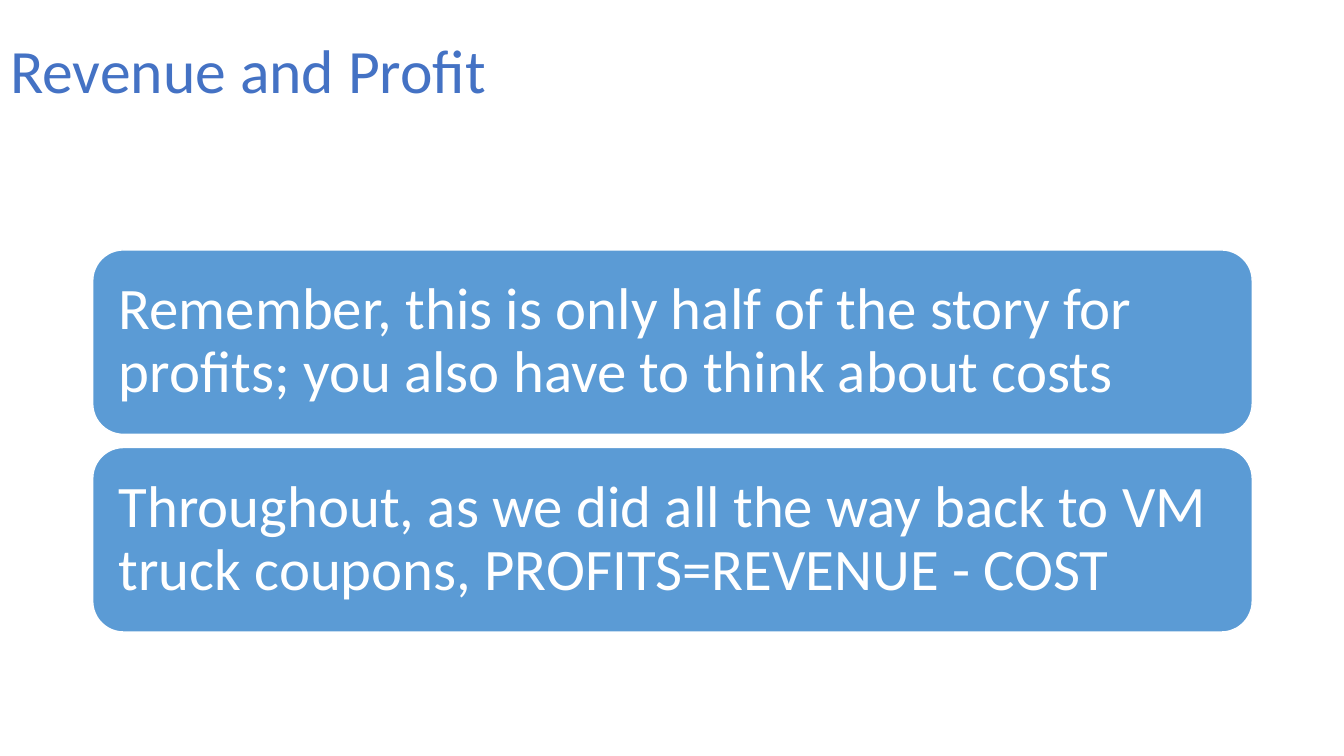
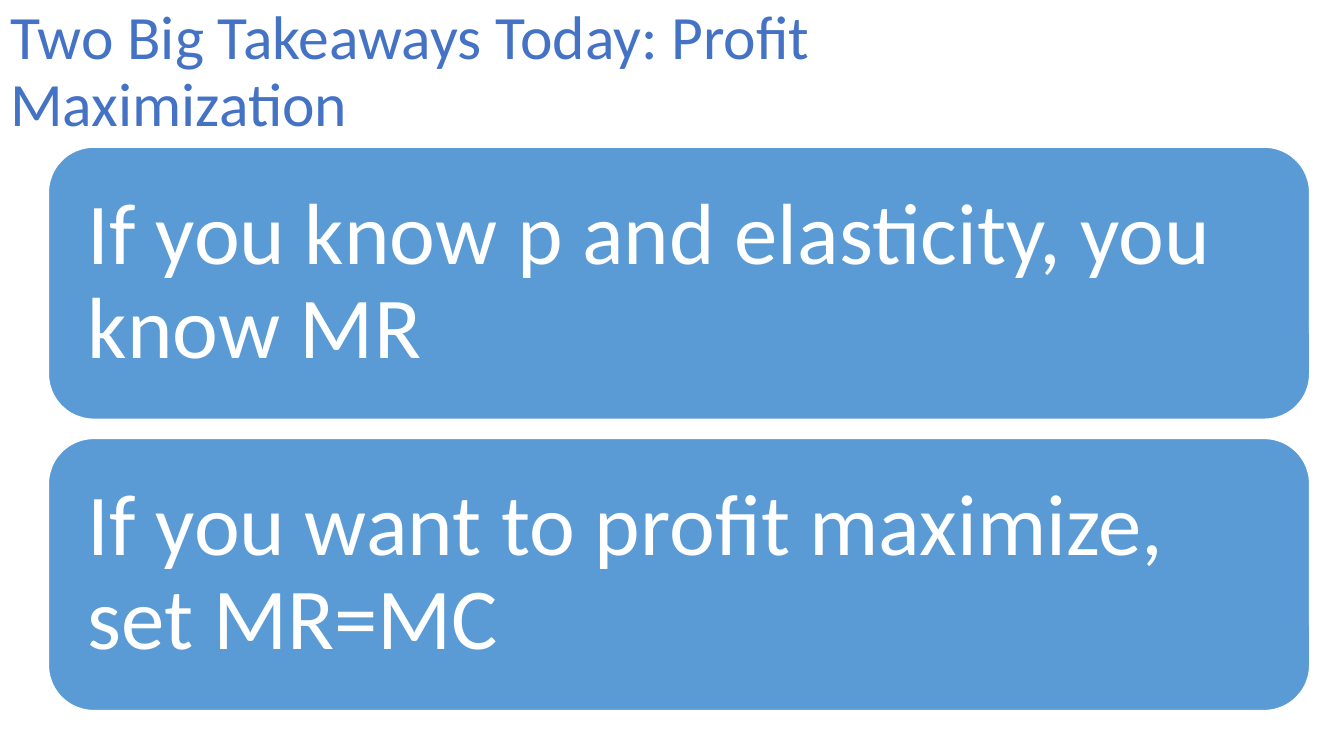
from pptx import Presentation
from pptx.dml.color import RGBColor
from pptx.enum.shapes import MSO_SHAPE
from pptx.enum.text import MSO_ANCHOR, MSO_AUTO_SIZE, PP_ALIGN
from pptx.util import Inches, Pt

ROUNDED = MSO_SHAPE.ROUNDED_RECTANGLE
MIDDLE = MSO_ANCHOR.MIDDLE
NO_AUTOFIT = MSO_AUTO_SIZE.NONE
LEFT = PP_ALIGN.LEFT

FONT = "Calibri"
TITLE_BLUE = "4472C4"
CARD_BLUE = "5B9BD5"
WHITE = "FFFFFF"
TITLE_SIZE = 44
TITLE_ONLY_LAYOUT = 5


def color(hex_value):
    return RGBColor.from_string(hex_value)


def write_text(shape, text, size, hex_value):
    frame = shape.text_frame
    frame.text = text
    frame.word_wrap = True
    frame.auto_size = NO_AUTOFIT
    frame.vertical_anchor = MIDDLE
    paragraph = frame.paragraphs[0]
    paragraph.alignment = LEFT
    paragraph.line_spacing = 0.9
    font = paragraph.runs[0].font
    font.name = FONT
    font.size = Pt(size)
    font.color.rgb = color(hex_value)


def add_titled_slide(presentation, title_text):
    slide = presentation.slides.add_slide(presentation.slide_layouts[TITLE_ONLY_LAYOUT])
    title = slide.shapes.title
    title.left, title.top = Inches(0), Inches(0)
    title.width, title.height = Inches(11.5), Inches(1.45)
    write_text(title, title_text, TITLE_SIZE, TITLE_BLUE)
    return slide


def add_card(slide, text, left, top, width, height, size, inset):
    card = slide.shapes.add_shape(
        ROUNDED, Inches(left), Inches(top), Inches(width), Inches(height)
    )
    card.shadow.inherit = False
    card.fill.solid()
    card.fill.fore_color.rgb = color(CARD_BLUE)
    card.line.color.rgb = color(WHITE)
    card.line.width = Pt(1)
    frame = card.text_frame
    frame.margin_left = frame.margin_right = Inches(inset)
    frame.margin_top = frame.margin_bottom = Inches(inset)
    write_text(card, text, size, WHITE)


def add_card_stack(slide, texts, left, top, width, height, gap, size, inset):
    for index, text in enumerate(texts):
        card_top = top + index * (height + gap)
        add_card(slide, text, left, card_top, width, height, size, inset)


def main():
    presentation = Presentation()
    presentation.slide_width = Inches(13.33)
    presentation.slide_height = Inches(7.5)

    revenue_slide = add_titled_slide(presentation, "Revenue and Profit")
    add_card_stack(
        revenue_slide,
        [
            "Remember, this is only half of the story for profits; "
            "you also have to think about costs",
            "Throughout, as we did all the way back to VM truck coupons, "
            "PROFITS=REVENUE - COST",
        ],
        left=0.92, top=2.48, width=11.5, height=1.83, gap=0.13, size=42, inset=0.17,
    )

    takeaways_slide = add_titled_slide(
        presentation, "Two Big Takeaways Today: Profit Maximization"
    )
    add_card_stack(
        takeaways_slide,
        [
            "If you know p and elasticity, you know MR",
            "If you want to profit maximize, set MR=MC",
        ],
        left=0.48, top=1.46, width=12.51, height=2.7, gap=0.19, size=62, inset=0.26,
    )

    presentation.save("out.pptx")


if __name__ == "__main__":
    main()
